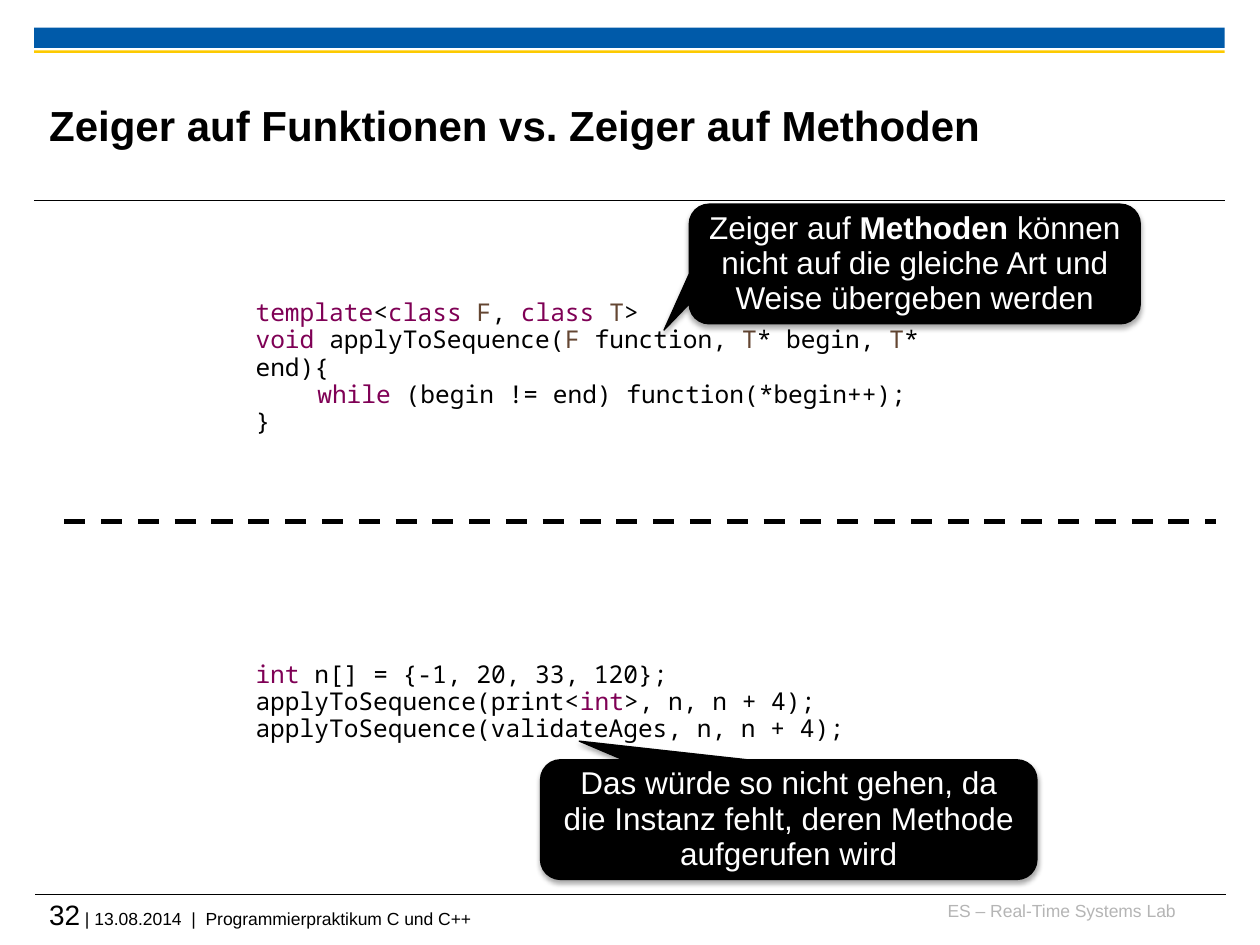
"""Build the slide on function pointers versus method pointers."""
from dataclasses import dataclass
from lxml.etree import SubElement
from pptx import Presentation
from pptx.dml.color import RGBColor
from pptx.enum.dml import MSO_LINE
from pptx.enum.shapes import MSO_CONNECTOR, MSO_SHAPE
from pptx.enum.text import MSO_ANCHOR, MSO_AUTO_SIZE, PP_ALIGN
from pptx.oxml.ns import qn
from pptx.util import Inches, Pt


@dataclass(frozen=True)
class Theme:
    black: str = "000000"
    white: str = "FFFFFF"
    blue: str = "005AA9"
    gold: str = "FDCA00"
    gray: str = "B5B5B5"
    key: str = "7F0055"
    kind: str = "644632"
    sans: str = "Arial"
    mono: str = "Noto Sans Mono"
    title: int = 24
    call: int = 18
    page: int = 16
    code: int = 14
    foot: int = 10


look = Theme()
deck = Presentation()
deck.slide_width, deck.slide_height = Inches(10), Inches(7.5)
col, row = deck.slide_width / 100, deck.slide_height / 75
slide = deck.slides.add_slide(deck.slide_layouts[6])
shapes = slide.shapes


def place(x, y, wide, high):
    return round(x * col), round(y * row), round(wide * col), round(high * row)


def write(frame, lines, font, align=PP_ALIGN.LEFT, space=None, inset=None):
    frame.word_wrap = True
    if inset is not None:
        frame.margin_left = frame.margin_right = inset
        frame.margin_top = frame.margin_bottom = inset
    for i, line in enumerate(lines):
        para = frame.add_paragraph() if i else frame.paragraphs[0]
        para.alignment = align
        para.line_spacing = space
        for text, size, color, bold in line:
            run = para.add_run()
            run.text = text
            run.font.name = font
            run.font.size = Pt(size)
            run.font.bold = bold
            run.font.color.rgb = RGBColor.from_string(color)


for y, high, color in [(2.2, 1.6, look.blue), (4, 0.2, look.gold)]:
    bar = shapes.add_shape(MSO_SHAPE.RECTANGLE, *place(2.7, y, 94.5, high))
    bar.shadow.inherit = False
    bar.fill.solid()
    bar.fill.fore_color.rgb = RGBColor.from_string(color)
    bar.line.fill.background()

rules = [(2.7, 97.2, 15.9, 0.6, None), (2.8, 97.3, 71, 0.6, None),
         (5.1, 96.5, 41.4, 3, MSO_LINE.DASH)]
for left, right, y, width, dash in rules:
    ends = place(left, y, right, y)
    rule = shapes.add_connector(MSO_CONNECTOR.STRAIGHT, *ends)
    rule.line.color.rgb = RGBColor.from_string(look.black)
    rule.line.width = Pt(width)
    rule.line.dash_style = dash
    SubElement(rule.element.spPr, qn("a:effectLst"))

labels = [
    ((73.6, 71.4, 19.7, 2.5), PP_ALIGN.RIGHT, MSO_ANCHOR.TOP,
     [("ES – Real-Time Systems Lab", look.foot, look.gray, False)]),
    ((3.9, 71.2, 93.3, 3.3), PP_ALIGN.LEFT, MSO_ANCHOR.TOP,
     [("32", look.page, look.black, False),
      (" | 13.08.2014  |  Programmierpraktikum C und C++", look.foot, look.black, False)]),
    ((3.9, 5.3, 75.2, 9.2), PP_ALIGN.LEFT, MSO_ANCHOR.MIDDLE,
     [("Zeiger auf Funktionen vs. Zeiger auf Methoden", look.title, look.black, True)]),
]
for at, align, anchor, line in labels:
    frame = shapes.add_textbox(*place(*at)).text_frame
    frame.vertical_anchor = anchor
    write(frame, [line], look.sans, align, inset=0)

tint = {"k": look.key, "t": look.kind, "n": look.black}
codes = [
    ((19.3, 23.3, 57.5, 9.8), [
        [("k", "template"), ("n", "<"), ("k", "class "), ("t", "F"), ("n", ", "),
         ("k", "class "), ("t", "T"), ("n", ">")],
        [("k", "void"), ("n", " applyToSequence("), ("t", "F"), ("n", " function, "),
         ("t", "T"), ("n", "* begin, "), ("t", "T"), ("n", "* end){")],
        [("k", "\twhile"), ("n", " (begin != end) function(*begin++);")],
        [("n", "}")]]),
    ((19.3, 52, 50, 7.6), [
        [("k", "int"), ("n", " n[] = {-1, 20, 33, 120};")],
        [("n", "applyToSequence(print<"), ("k", "int"), ("n", ">, n, n + 4);")],
        [("n", "applyToSequence(validateAges, n, n + 4);")]]),
]
for at, lines in codes:
    frame = shapes.add_textbox(*place(*at)).text_frame
    frame.auto_size = MSO_AUTO_SIZE.SHAPE_TO_FIT_TEXT
    write(frame, [[(text, look.code, tint[role], False) for role, text in line]
                  for line in lines], look.mono, space=0.93)
    for para in frame.paragraphs:
        if para.text.startswith("\t"):
            tabs = SubElement(para._p.get_or_add_pPr(), qn("a:tabLst"))
            SubElement(tabs, qn("a:tab"), pos=str(round(4.9 * col)), algn="l")

calls = [
    ((54.7, 16.2, 35.8, 9.5), (-0.556, 0.553, 0.167),
     [("Zeiger auf ", False), ("Methoden", True),
      (" können nicht auf die gleiche Art und Weise übergeben werden", False)]),
    ((42.9, 60.3, 39.4, 9.5), (-0.422, -0.656, 0.167),
     [("Das würde so nicht gehen, da die Instanz fehlt, deren Methode aufgerufen wird",
       False)]),
]
for at, bends, parts in calls:
    call = shapes.add_shape(MSO_SHAPE.ROUNDED_RECTANGULAR_CALLOUT, *place(*at))
    for i, bend in enumerate(bends):
        call.adjustments[i] = bend
    call.fill.solid()
    call.fill.fore_color.rgb = RGBColor.from_string(look.black)
    call.line.color.rgb = RGBColor.from_string(look.black)
    call.line.width = Pt(0.75)
    call.shadow.inherit = False
    glow = SubElement(call.element.spPr.find(qn("a:effectLst")), qn("a:outerShdw"),
                      blurRad=str(Pt(3.1)), dist=str(Pt(1.8)), dir="5400000",
                      rotWithShape="0")
    shade = SubElement(glow, qn("a:srgbClr"), val=look.black)
    SubElement(shade, qn("a:alpha"), val="35000")
    call.text_frame.vertical_anchor = MSO_ANCHOR.MIDDLE
    write(call.text_frame, [[(text, look.call, look.white, bold) for text, bold in parts]],
          look.sans, PP_ALIGN.CENTER, 0.93)

deck.save("out.pptx")
